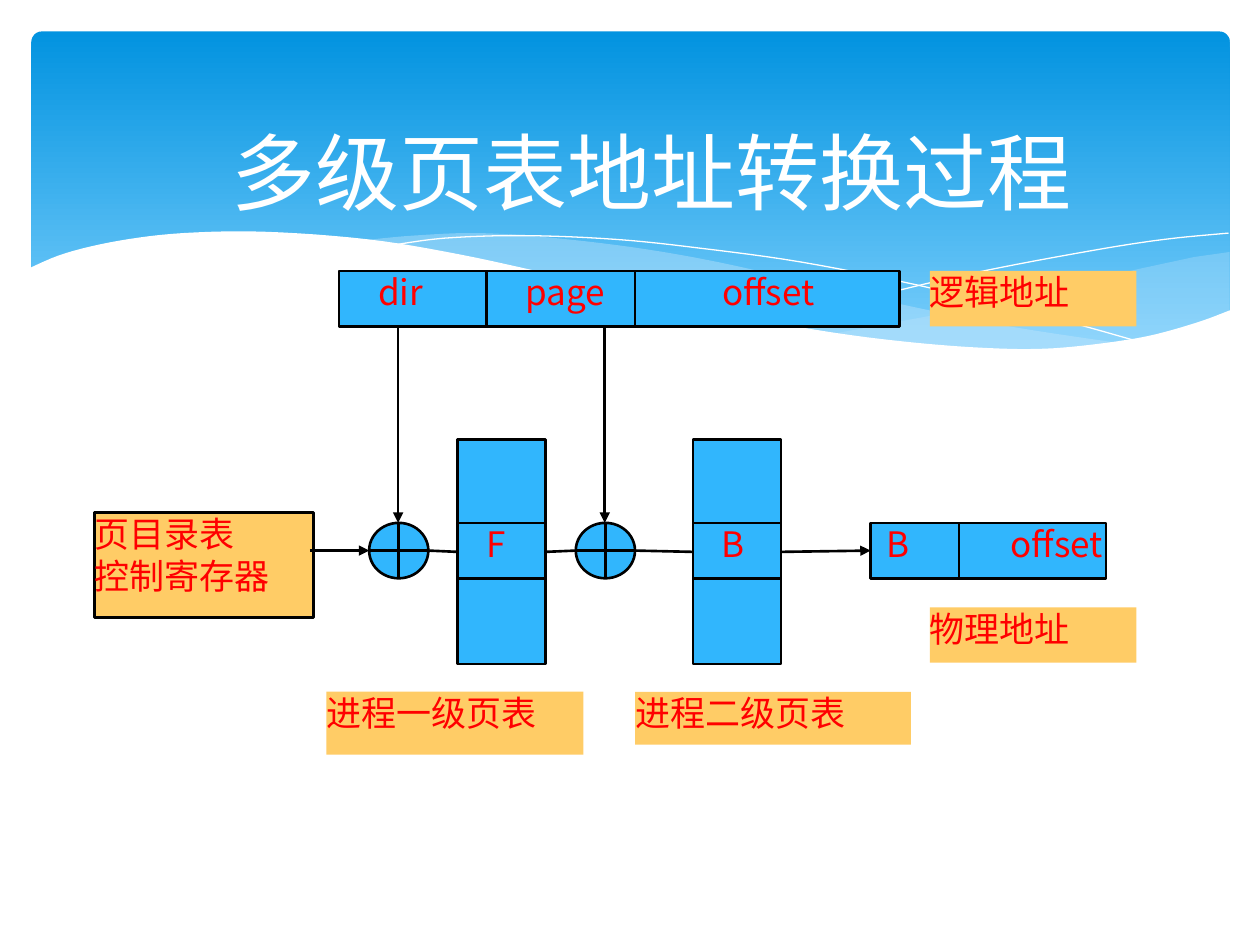
from dataclasses import dataclass
from lxml.etree import SubElement
from pptx import Presentation
from pptx.dml.color import RGBColor
from pptx.enum.shapes import MSO_CONNECTOR, MSO_SHAPE
from pptx.enum.text import MSO_ANCHOR, PP_ALIGN
from pptx.oxml.ns import qn
from pptx.util import Inches, Pt

COLORS = {
    "sky": "0293E0", "pale": "83D3FE", "mist": "C6E7FC", "white": "FFFFFF",
    "blue": "31B6FD", "sand": "FFCC66", "red": "FF0000", "black": "000000",
}
FONT = "Noto Sans CJK JP"
ROW, HIGH = 4.15, 0.44
MID, BASE = ROW + HIGH / 2, ROW + HIGH
TOP = 2.15
WIDE = 0.7


@dataclass
class Box:
    left: float
    top: float
    width: float
    height: float
    fill: str = "blue"
    text: str = ""
    edge: bool = False
    tabs: tuple = ()
    kind: MSO_SHAPE = MSO_SHAPE.RECTANGLE


@dataclass
class Wave:
    knots: list
    fill: str = ""
    alpha: int = 100
    close: tuple = ()


def rgb(name: str) -> RGBColor:
    return RGBColor.from_string(COLORS[name])


def write(frame, text: str, size: int, color: str, align, tabs: tuple = ()) -> None:
    frame.word_wrap = True
    for index, words in enumerate(text.split("\n")):
        para = frame.paragraphs[0] if index == 0 else frame.add_paragraph()
        para.alignment = align
        if tabs:
            stops = SubElement(para._p.get_or_add_pPr(), qn("a:tabLst"))
            for stop in tabs:
                SubElement(stops, qn("a:tab"), pos=str(Inches(stop)), algn="l")
        run = para.add_run()
        run.text = words
        run.font.size = Pt(size)
        run.font.name = FONT
        run.font.color.rgb = rgb(color)
        SubElement(run._r.get_or_add_rPr(), qn("a:ea"), typeface=FONT)


def draw_box(shapes, box: Box):
    shape = shapes.add_shape(box.kind, Inches(box.left), Inches(box.top),
                             Inches(box.width), Inches(box.height))
    shape.shadow.inherit = False
    shape.fill.solid()
    shape.fill.fore_color.rgb = rgb(box.fill)
    if box.edge:
        shape.line.color.rgb = rgb("black")
        shape.line.width = Pt(1.5)
    else:
        shape.line.fill.background()
    if box.text:
        frame = shape.text_frame
        frame.margin_left = frame.margin_right = 0
        frame.margin_top = frame.margin_bottom = 0
        frame.vertical_anchor = MSO_ANCHOR.TOP
        write(frame, box.text, 20, "red", PP_ALIGN.LEFT, box.tabs)
    return shape


def draw_line(shapes, start: tuple, end: tuple, arrow: bool = False,
              source=None, target=None) -> None:
    line = shapes.add_connector(MSO_CONNECTOR.STRAIGHT, *map(Inches, start + end))
    line.line.color.rgb = rgb("black")
    line.line.width = Pt(1.5)
    if arrow:
        SubElement(line.line._get_or_add_ln(), qn("a:tailEnd"), type="triangle")
    SubElement(line._element.spPr, qn("a:effectLst"))
    if source is not None:
        line.begin_connect(source, 3)
    if target is not None:
        line.end_connect(target, 1)


def smooth(knots: list, steps: int = 6) -> list:
    ends = [knots[0], *knots, knots[-1]]
    curve = [knots[0]]
    for a, b, c, d in zip(ends, ends[1:], ends[2:], ends[3:]):
        for step in range(1, steps + 1):
            t = step / steps
            curve.append(tuple(
                (2 * q + (r - p) * t + (2 * p - 5 * q + 4 * r - s) * t ** 2
                 + (3 * q - p - 3 * r + s) * t ** 3) / 2
                for p, q, r, s in zip(a, b, c, d)))
    return curve


def draw_wave(shapes, wave: Wave) -> None:
    points = [(Inches(x), Inches(y)) for x, y in [*smooth(wave.knots), *wave.close]]
    pen = shapes.build_freeform(*points[0], scale=1.0)
    pen.add_line_segments(points[1:], close=bool(wave.fill))
    shape = pen.convert_to_shape()
    shape.shadow.inherit = False
    if wave.fill:
        shape.fill.solid()
        shape.fill.fore_color.rgb = rgb(wave.fill)
        shape.line.fill.background()
        tint = shape._element.spPr.find(".//" + qn("a:srgbClr"))
        SubElement(tint, qn("a:alpha"), val=str(wave.alpha * 1000))
    else:
        shape.fill.background()
        shape.line.color.rgb = rgb("white")
        shape.line.width = Pt(0)


RIGHT = [(6.61, 2.65), (7.18, 2.73), (7.69, 2.77), (8.14, 2.78), (8.63, 2.75),
         (9.05, 2.69), (9.42, 2.59), (9.76, 2.47)]
CREST = [(2.86, 1.91), (3.28, 1.87), (3.8, 1.85), (4.41, 1.89), (5.14, 1.98),
         (5.84, 2.11), (6.68, 2.31), (7.41, 2.47), (8.07, 2.6), (8.93, 2.73)]
WAVES = [
    Wave(RIGHT, "mist", 29, ((9.76, 2), (9.48, 2.04), (9.06, 2.13), (8.32, 2.3),
                             (7.53, 2.48))),
    Wave(CREST, "mist", 40, ((8.48, 2.78), (7.96, 2.79), (7.36, 2.75), (6.65, 2.66),
                             (5.84, 2.52), (4.91, 2.32), (4.04, 2.11), (3.42, 1.99))),
    Wave([(3.09, 1.95), (3.53, 1.89), (4.16, 1.87), (4.89, 1.9), (5.56, 1.97),
          (6.36, 2.08), (7.27, 2.26), (8.31, 2.51), (9.07, 2.72)]),
    Wave([(6.13, 2.57), (6.95, 2.35), (7.76, 2.16), (8.66, 1.99), (9.24, 1.9),
          (9.75, 1.85)]),
    Wave([(0.23, 2.13), (0.52, 2.01), (0.95, 1.91), (1.46, 1.85), (2.11, 1.84),
          (2.92, 1.9), (3.65, 2.02), (4.47, 2.2), (5.29, 2.39), (6.03, 2.54),
          (6.68, 2.65), (7.26, 2.72), (7.78, 2.76), (8.23, 2.77), (8.63, 2.74),
          (9.1, 2.67), (9.5, 2.56), (9.77, 2.46)], "white", 100,
         ((9.77, 3.29), (0.23, 3.29))),
]
LABELS = [
    Box(2.59, 5.49, 2.04, 0.5, "sand", "进程一级页表"),
    Box(5.04, 5.49, 2.19, 0.42, "sand", "进程二级页表"),
    Box(7.38, 4.82, 1.64, HIGH, "sand", "物理地址"),
    Box(7.38, TOP, 1.64, HIGH, "sand", "逻辑地址"),
    Box(0.75, 4.07, 1.74, 0.83, "sand", "页目录表\n控制寄存器", True),
]


def draw_sky(shapes) -> None:
    sky = shapes.add_shape(MSO_SHAPE.ROUNDED_RECTANGLE, Inches(0.25), Inches(0.25),
                           Inches(9.51), Inches(2.7))
    sky.adjustments[0] = 0.03
    sky.shadow.inherit = False
    sky.line.fill.background()
    sky.fill.gradient()
    sky.fill.gradient_angle = 270
    for stop, name in zip(sky.fill.gradient_stops, ("sky", "pale")):
        stop.color.rgb = rgb(name)
    for wave in WAVES:
        draw_wave(shapes, wave)


def draw_title(shapes) -> None:
    frame = shapes.add_textbox(Inches(0.98), Inches(0.85), Inches(8.5),
                               Inches(1.01)).text_frame
    frame.margin_right = Inches(0.22)
    frame.vertical_anchor = MSO_ANCHOR.MIDDLE
    write(frame, "多级页表地址转换过程", 48, "white", PP_ALIGN.CENTER)


def draw_table(shapes, left: float, text: str):
    table = draw_box(shapes, Box(left, 3.49, WIDE, 1.78, edge=True))
    draw_box(shapes, Box(left + 0.23, ROW, 0.24, HIGH, text=text))
    for level in (ROW, BASE):
        draw_line(shapes, (left, level), (left + WIDE, level))
    return table


def main() -> None:
    deck = Presentation()
    deck.slide_width, deck.slide_height = Inches(10), Inches(7.5)
    shapes = deck.slides.add_slide(deck.slide_layouts[6]).shapes
    draw_sky(shapes)
    draw_title(shapes)
    first = draw_table(shapes, 3.63, "F")
    second = draw_table(shapes, 5.5, "B")
    real = draw_box(shapes, Box(6.91, ROW, 1.87, HIGH, text="\tB\toffset", edge=True,
                                tabs=(0.13, 1.11)))
    draw_box(shapes, Box(2.69, TOP, 4.45, HIGH, text="\tdir\tpage\toffset", edge=True,
                         tabs=(0.31, 1.48, 3.04)))
    for x, y in ((3.86, TOP), (5.04, TOP), (7.61, ROW)):
        draw_line(shapes, (x, y), (x, y + HIGH))
    for label in LABELS:
        draw_box(shapes, label)
    draw_line(shapes, (3.4, MID), (3.63, MID), target=first)
    draw_line(shapes, (4.33, MID), (4.57, MID), source=first)
    draw_line(shapes, (5.04, MID), (5.5, MID), target=second)
    draw_line(shapes, (6.2, MID), (6.91, MID), True, second, real)
    draw_line(shapes, (2.46, MID), (2.93, MID), True)
    for left in (2.93, 4.57):
        center = left + 0.23
        draw_line(shapes, (center, TOP + HIGH), (center, ROW), True)
        draw_box(shapes, Box(left, ROW, 0.47, HIGH, edge=True,
                             kind=MSO_SHAPE.FLOWCHART_OR))
    deck.save("out.pptx")


if __name__ == "__main__":
    main()
